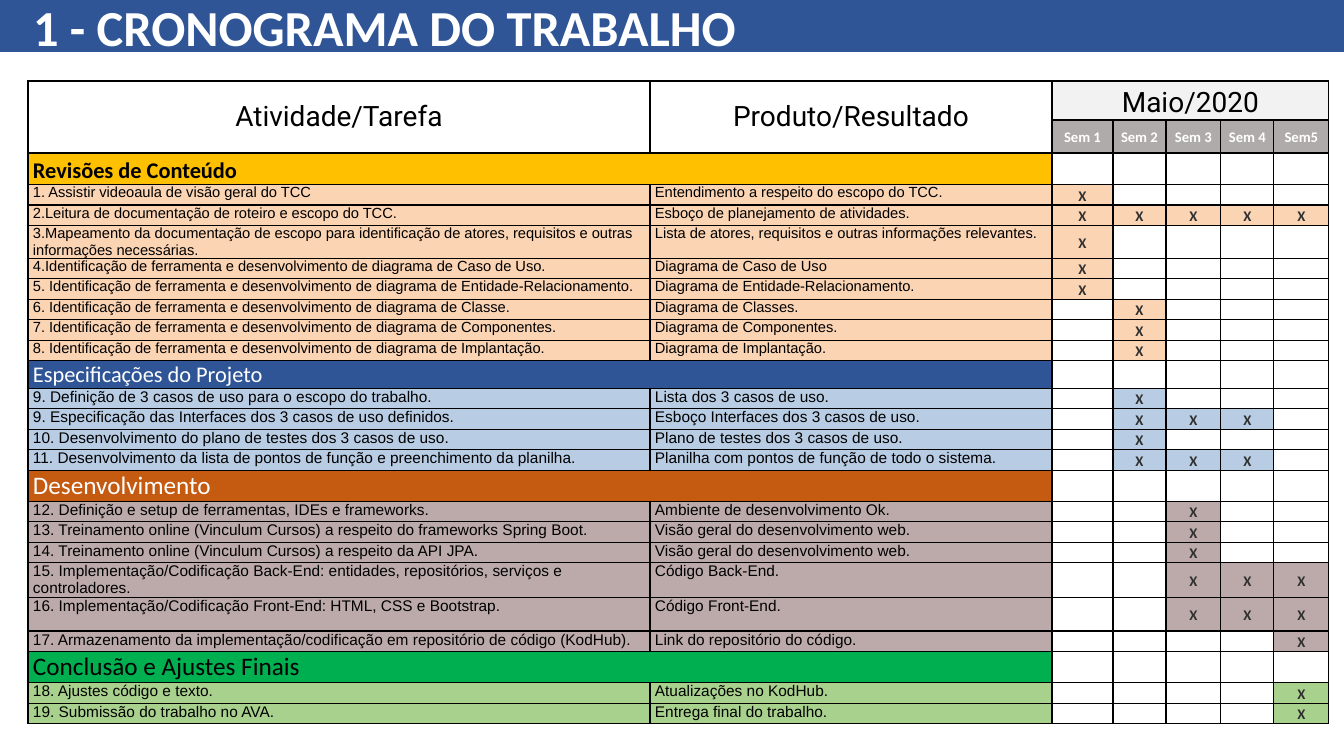
from dataclasses import dataclass

from lxml.etree import SubElement
from pptx import Presentation
from pptx.dml.color import RGBColor
from pptx.enum.text import MSO_ANCHOR as ANCHOR, MSO_AUTO_SIZE as AUTO, PP_ALIGN as ALIGN
from pptx.oxml.ns import qn
from pptx.util import Pt

PX = 9071.43  # EMU per px, at 100.8 px to the inch


@dataclass(frozen=True)
class Theme:
    navy: str = "2F5597"
    white: str = "FFFFFF"
    black: str = "000000"
    mark: str = "303030"
    month: str = "F2F2F2"
    week: str = "AFABAB"
    gold: str = "FFC000"
    peach: str = "FBD4B4"
    sky: str = "B8CCE4"
    rust: str = "C55A11"
    mauve: str = "BCAAAA"
    green: str = "00B050"
    lime: str = "A9D18E"
    title: float = 36
    header: float = 20
    section: float = 18
    section_small: float = 16
    body: float = 11
    small: float = 10.5
    border: float = 1
    head_font: str = "Roboto"
    label_font: str = "Calibri"
    body_font: str = "Arial"


T = Theme()
HEADER = dict(name=T.head_font, size=T.header, color=T.black, bold=False)
WEEK = dict(name=T.label_font, size=T.small, color=T.white, bold=True)
MARK = {**WEEK, "color": T.mark}
CENTRED = dict(align=ALIGN.CENTER, anchor=ANCHOR.MIDDLE)
SPACED = dict(CENTRED, spacing=1.15)

WEEKS = ["Sem 1", "Sem 2", "Sem 3", "Sem 4", "Sem5"]
COLUMNS = [622, 402, 61, 53, 55, 53, 55]
HEADER_ROWS = [39, 33]
ROW, TALL_ROW = 20, 34

# Each task: activity, result, weeks marked, and a row height if not ROW
SECTIONS = [
    dict(name="Revisões de Conteúdo", fill=T.gold, tint=T.peach, color=T.black, bold=True,
         size=T.section_small, task_size=T.small, spacing=1.15, height=31, tasks=[
             ("1. Assistir videoaula de visão geral do TCC",
              "Entendimento a respeito do escopo do TCC.", [1]),
             ("2.Leitura de documentação de roteiro e escopo do TCC.",
              "Esboço de planejamento de atividades.", [1, 2, 3, 4, 5]),
             ("3.Mapeamento da documentação de escopo para identificação de atores, "
              "requisitos e outras informações necessárias.",
              "Lista de atores, requisitos e outras informações relevantes.", [1], 32),
             ("4.Identificação de ferramenta e desenvolvimento de diagrama de Caso de Uso.",
              "Diagrama de Caso de Uso", [1]),
             ("5. Identificação de ferramenta e desenvolvimento de diagrama de "
              "Entidade-Relacionamento.", "Diagrama de Entidade-Relacionamento.", [1]),
             ("6. Identificação de ferramenta e desenvolvimento de diagrama de Classe.",
              "Diagrama de Classes.", [2]),
             ("7. Identificação de ferramenta e desenvolvimento de diagrama de Componentes.",
              "Diagrama de Componentes.", [2]),
             ("8. Identificação de ferramenta e desenvolvimento de diagrama de Implantação.",
              "Diagrama de Implantação.", [2]),
         ]),
    dict(name="Especificações do Projeto", fill=T.navy, tint=T.sky, color=T.white, bold=False,
         size=T.section_small, task_size=T.body, spacing=1, height=27, tasks=[
             ("9. Definição de 3 casos de uso para o escopo do trabalho.",
              "Lista dos 3 casos de uso.", [2]),
             ("9. Especificação das Interfaces dos 3 casos de uso definidos.",
              "Esboço Interfaces dos 3 casos de uso.", [2, 3, 4]),
             ("10. Desenvolvimento do plano de testes dos 3 casos de uso.",
              "Plano de testes dos 3 casos de uso.", [2]),
             ("11. Desenvolvimento da lista de pontos de função e preenchimento da planilha.",
              "Planilha com pontos de função de todo o sistema.", [2, 3, 4]),
         ]),
    dict(name="Desenvolvimento", fill=T.rust, tint=T.mauve, color=T.white, bold=False,
         size=T.section, task_size=T.body, spacing=1, height=31, tasks=[
             ("12. Definição e setup de ferramentas, IDEs e frameworks.",
              "Ambiente de desenvolvimento Ok.", [3]),
             ("13. Treinamento online (Vinculum Cursos) a respeito do frameworks Spring Boot.",
              "Visão geral do desenvolvimento web.", [3]),
             ("14. Treinamento online (Vinculum Cursos) a respeito da API JPA.",
              "Visão geral do desenvolvimento web.", [3]),
             ("15. Implementação/Codificação Back-End: entidades, repositórios, "
              "serviços e controladores.", "Código Back-End.", [3, 4, 5], TALL_ROW),
             ("16. Implementação/Codificação Front-End: HTML, CSS e Bootstrap.",
              "Código Front-End.", [3, 4, 5], TALL_ROW),
             ("17. Armazenamento da implementação/codificação em repositório de código "
              "(KodHub).", "Link do repositório do código.", [5]),
         ]),
    dict(name="Conclusão e Ajustes Finais", fill=T.green, tint=T.lime, color=T.black, bold=False,
         size=T.section, task_size=T.body, spacing=1, height=31, tasks=[
             ("18. Ajustes código e texto.", "Atualizações no KodHub.", [5]),
             ("19. Submissão do trabalho no AVA.", "Entrega final do trabalho.", [5]),
         ]),
]


def px(n):
    return round(n * PX)


class SlideBuilder:
    def __init__(self, prs, theme):
        self.theme = theme
        self.slide = prs.slides.add_slide(prs.slide_layouts[5])

    def paint(self, fill, color):
        if color:
            fill.solid()
            fill.fore_color.rgb = RGBColor.from_string(color)
        else:
            fill.background()

    def add_text(self, p, text, style):
        r = p.add_run()
        r.text = text
        values = {**style, "size": Pt(style["size"])}
        r.font.color.rgb = RGBColor.from_string(values.pop("color"))
        for key, value in values.items():
            setattr(r.font, key, value)

    def title(self, text, left, top, width, height, indent):
        sp = self.slide.shapes.title
        box = dict(left=left, top=top, width=width, height=height)
        for key, value in box.items():
            setattr(sp, key, px(value))
        self.paint(sp.fill, self.theme.navy)
        tf = sp.text_frame
        frame = dict(auto_size=AUTO.NONE, word_wrap=True, vertical_anchor=ANCHOR.MIDDLE,
                     margin_left=px(indent), margin_top=0, margin_bottom=0)
        for key, value in frame.items():
            setattr(tf, key, value)
        p = tf.paragraphs[0]
        p.alignment = ALIGN.LEFT
        self.add_text(p, text, dict(name=self.theme.label_font, size=self.theme.title,
                                    color=self.theme.white, bold=True))

    def table(self, left, top, columns, rows):
        shape = self.slide.shapes.add_table(len(rows), len(columns), px(left), px(top),
                                            px(sum(columns)), px(sum(rows)))
        tbl = shape.table
        tbl.first_row = tbl.horz_banding = False
        for column, width in zip(tbl.columns, columns):
            column.width = px(width)
        for row, height in zip(tbl.rows, rows):
            row.height = px(height)
        return tbl

    def cell(self, cell, text="", style=MARK, fill=None, align=ALIGN.LEFT,
             anchor=ANCHOR.TOP, spacing=1):
        frame = dict(margin_left=px(5), margin_right=px(5), margin_top=0, margin_bottom=0,
                     vertical_anchor=anchor)
        for key, value in frame.items():
            setattr(cell, key, value)
        self.borders(cell)
        self.paint(cell.fill, fill)
        p = cell.text_frame.paragraphs[0]
        p.alignment, p.line_spacing = align, spacing
        if text:
            self.add_text(p, text, style)
        else:  # keeps an empty cell from stretching its row
            SubElement(p._p, qn("a:endParaRPr"), sz=str(int(style["size"] * 100)))

    def borders(self, cell):
        props = cell._tc.get_or_add_tcPr()
        for side in "LRTB":
            ln = SubElement(props, qn(f"a:ln{side}"), w=str(Pt(self.theme.border)))
            color = SubElement(ln, qn("a:solidFill"))
            SubElement(color, qn("a:srgbClr"), val=self.theme.black)


def schedule_cells():
    """Map (row, column) to cell formats; also give row heights and merged ranges."""
    cells = {(0, 0): dict(text="Atividade/Tarefa", style=HEADER, **CENTRED),
             (0, 1): dict(text="Produto/Resultado", style=HEADER, **CENTRED),
             (0, 2): dict(text="Maio/2020", style=HEADER, fill=T.month, **SPACED)}
    for c, week in enumerate(WEEKS, 2):
        cells[1, c] = dict(text=week, style=WEEK, fill=T.week, **SPACED)
    heights = list(HEADER_ROWS)
    merges = [((0, 0), (1, 0)), ((0, 1), (1, 1)), ((0, 2), (0, 6))]
    for section in SECTIONS:
        row = len(heights)
        heading = dict(name=T.label_font, **{k: section[k] for k in ("size", "color", "bold")})
        cells[row, 0] = dict(text=section["name"], style=heading, fill=section["fill"],
                             spacing=section["spacing"])
        merges.append(((row, 0), (row, 1)))
        heights.append(section["height"])
        body = dict(name=T.body_font, size=section["task_size"], color=T.black, bold=False)
        for activity, result, weeks, *height in section["tasks"]:
            row = len(heights)
            for c, text in enumerate((activity, result)):
                cells[row, c] = dict(text=text, style=body, fill=section["tint"])
            for week in weeks:
                cells[row, week + 1] = dict(text="X", style=MARK, fill=section["tint"], **SPACED)
            heights.append(height[0] if height else ROW)
    return cells, heights, merges


def main():
    prs = Presentation()
    prs.slide_width, prs.slide_height = px(1344), px(756)
    s = SlideBuilder(prs, T)
    s.title("1 - CRONOGRAMA DO TRABALHO", 0, 0, 1344, 52, indent=33)
    cells, heights, merges = schedule_cells()
    tbl = s.table(28, 81, COLUMNS, heights)
    for r in range(len(heights)):
        for c in range(len(COLUMNS)):
            s.cell(tbl.cell(r, c), **cells.get((r, c), {}))
    for first, last in merges:
        tbl.cell(*first).merge(tbl.cell(*last))
    prs.save("out.pptx")


if __name__ == "__main__":
    main()
